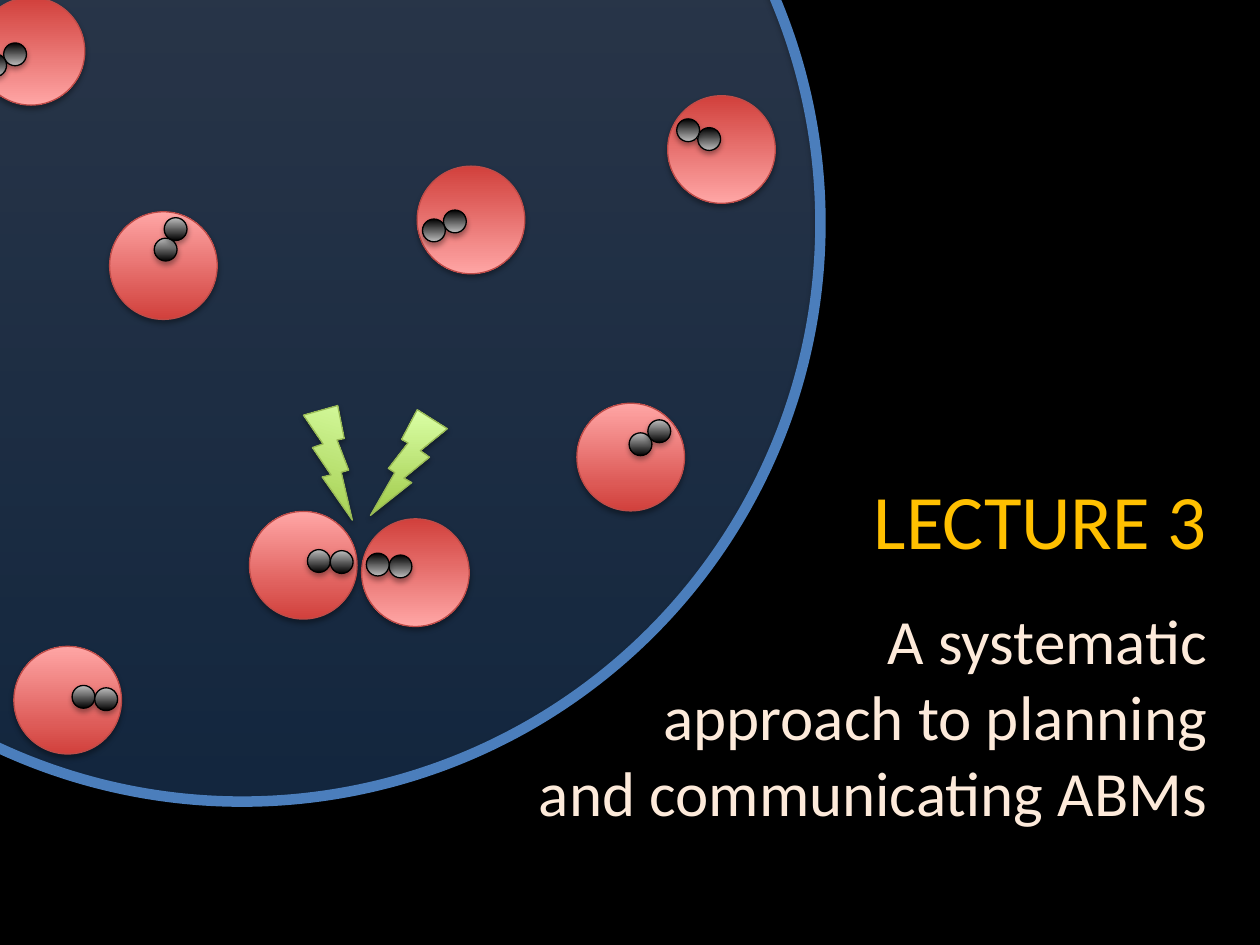
from math import cos, radians, sin

from lxml import etree
from pptx import Presentation
from pptx.dml.color import RGBColor
from pptx.enum.shapes import MSO_SHAPE
from pptx.enum.text import MSO_ANCHOR, MSO_AUTO_SIZE, PP_ALIGN
from pptx.oxml.ns import qn
from pptx.util import Cm, Pt

OVAL = MSO_SHAPE.OVAL
BOLT = MSO_SHAPE.LIGHTNING_BOLT
TITLE_ONLY = 5
UP, DOWN = 90, 270

COLORS = {
    "background": "000000",
    "heading": "FFC000",
    "subheading": "FDEADA",
    "dish_line": "4B7EBC",
    "cell_line": "BF4C48",
    "atom_line": "000000",
    "bolt_line": "98B955",
    "shadow": "000000",
}
# Start and end colour of each gradient
GRADIENTS = {
    "dish": ("3F80CE", "A4C4FF"),
    "cell": ("D1403C", "FFA6A5"),
    "atom": ("000000", "BDBDBD"),
    "bolt": ("A0CA4A", "DAFFA5"),
}

DISH_BOX = (-6.78, -7.16, 23.32, 23.32)
CELL_SIZE = 2.17
ATOM_SIZE = 0.46
# Atom centres relative to the centre of an unturned cell
ATOM_OFFSETS = ((0.31, -0.1), (0.77, -0.1))
# Left, top, turn in degrees, mirrored
CELLS = (
    (-0.46, -0.05, 331.3, True),
    (8.41, 3.35, 336.8, True),
    (5.03, 10.31, 2.7, False),
    (2.21, 4.27, 295.9, False),
    (0.28, 13.03, 6, False),
    (11.63, 8.13, 325.3, False),
    (13.46, 1.93, 22.6, True),
    (7.29, 10.46, 4.7, True),
)


def rgb(name):
    return RGBColor.from_string(COLORS[name])


def add_shadow(shape):
    """Give the shape a soft shadow that falls straight down."""
    shape.shadow.inherit = False
    effects = shape._element.spPr.find(qn("a:effectLst"))
    shadow = etree.SubElement(
        effects, qn("a:outerShdw"), blurRad=str(Pt(3.1)), dist=str(Pt(1.8)),
        dir="5400000", rotWithShape="0")
    color = etree.SubElement(shadow, qn("a:srgbClr"), val=COLORS["shadow"])
    etree.SubElement(color, qn("a:alpha"), val="35000")


def fill_gradient(shape, kind, angle, opacity=None):
    shape.fill.gradient()
    shape.fill.gradient_angle = angle
    for stop, color in zip(shape.fill.gradient_stops, GRADIENTS[kind]):
        stop.color.rgb = RGBColor.from_string(color)
    if opacity is not None:
        for color in shape._element.spPr.iter(qn("a:srgbClr")):
            etree.SubElement(color, qn("a:alpha"), val=str(opacity * 1000))


def add_body(shapes, preset, box, kind, angle=UP, opacity=None,
             line_width=0.75, filled=True):
    """Add an outlined, shadowed shape in the colours of its kind."""
    body = shapes.add_shape(preset, *(Cm(length) for length in box))
    if filled:
        fill_gradient(body, kind, angle, opacity)
    else:
        body.fill.background()
    body.line.color.rgb = rgb(f"{kind}_line")
    body.line.width = Pt(line_width)
    add_shadow(body)
    return body


def add_dish(slide):
    dish = slide.shapes.add_group_shape().shapes
    add_body(dish, OVAL, DISH_BOX, "dish", opacity=29)
    add_body(dish, OVAL, DISH_BOX, "dish", line_width=6, filled=False)


def add_cell(slide, left, top, turn, mirrored):
    """Add a cell with two atoms placed along its turned axis."""
    cell = slide.shapes.add_group_shape().shapes
    angle = DOWN if mirrored else UP
    add_body(cell, OVAL, (left, top, CELL_SIZE, CELL_SIZE), "cell", angle)
    turn = radians(turn)
    inset = (CELL_SIZE - ATOM_SIZE) / 2
    for x, y in ATOM_OFFSETS:
        if mirrored:
            x = -x
        atom_left = left + inset + x * cos(turn) - y * sin(turn)
        atom_top = top + inset + x * sin(turn) + y * cos(turn)
        add_body(cell, OVAL, (atom_left, atom_top, ATOM_SIZE, ATOM_SIZE),
                 "atom", angle)


def add_bolt(slide, left, top, turn=0, mirrored=False):
    bolt = add_body(slide.shapes, BOLT, (left, top, 1.55, 2.13), "bolt")
    bolt.rotation = turn
    if mirrored:
        bolt._element.spPr.find(qn("a:xfrm")).set("flipH", "1")


def write_text(paragraph, text, size, color, space_after=0):
    paragraph.alignment = PP_ALIGN.RIGHT
    paragraph.space_after = Pt(space_after)
    for index, line in enumerate(text.split("\n")):
        if index:
            paragraph.add_line_break()
        run = paragraph.add_run()
        run.text = line
        run.font.name = "Calibri"
        run.font.size = Pt(size)
        run.font.color.rgb = rgb(color)


def add_title(slide):
    title = slide.shapes.title
    title.left, title.top = Cm(10.26), Cm(7.72)
    title.width, title.height = Cm(14.33), Cm(10.8)
    frame = title.text_frame
    frame.word_wrap = True
    frame.auto_size = MSO_AUTO_SIZE.NONE
    frame.vertical_anchor = MSO_ANCHOR.MIDDLE
    write_text(frame.paragraphs[0], "LECTURE 3", size=44, color="heading",
               space_after=21)
    write_text(frame.add_paragraph(),
               "A systematic\napproach to planning\nand communicating ABMs",
               size=36, color="subheading")


def main():
    deck = Presentation()
    deck.slide_width, deck.slide_height = Cm(25.4), Cm(19.05)
    slide = deck.slides.add_slide(deck.slide_layouts[TITLE_ONLY])
    slide.background.fill.solid()
    slide.background.fill.fore_color.rgb = rgb("background")
    add_title(slide)
    add_dish(slide)
    for cell in CELLS:
        add_cell(slide, *cell)
    add_bolt(slide, 5.89, 8.18, turn=16.6)
    add_bolt(slide, 7.47, 8.26, mirrored=True)
    deck.save("out.pptx")


if __name__ == "__main__":
    main()
